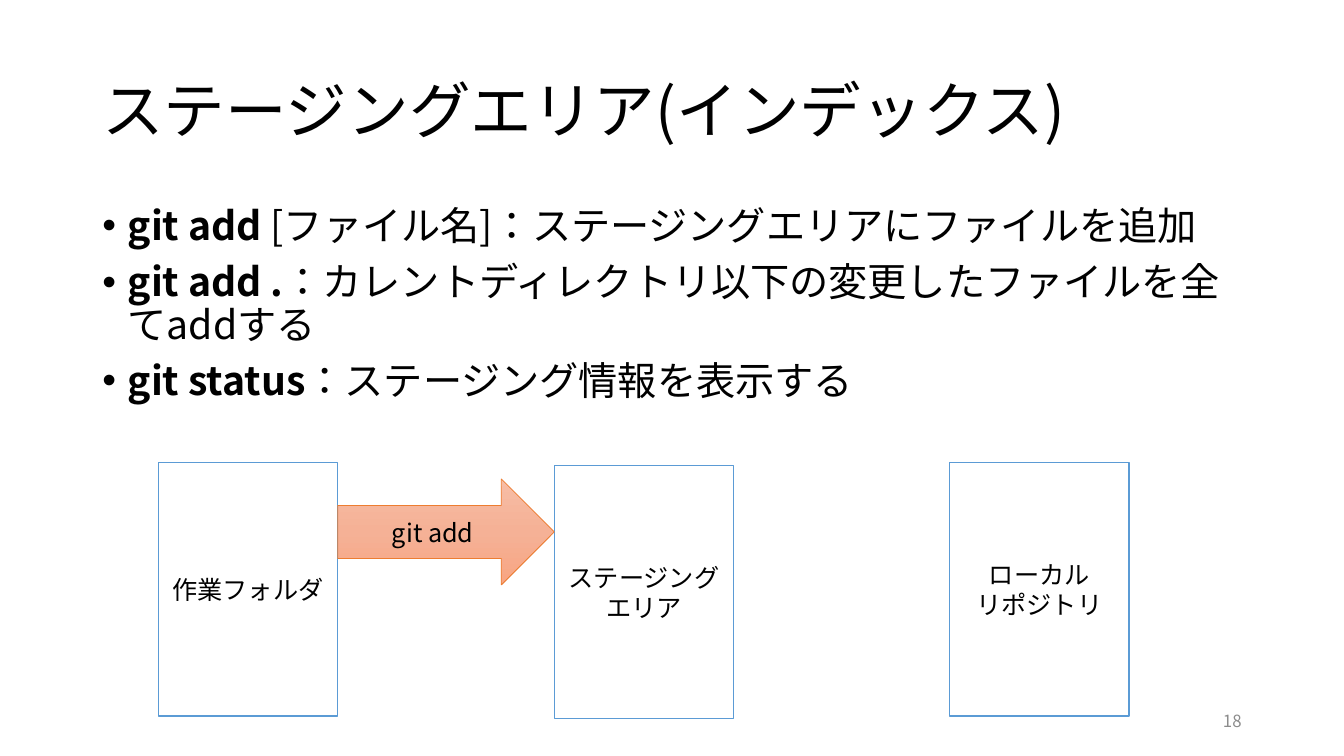
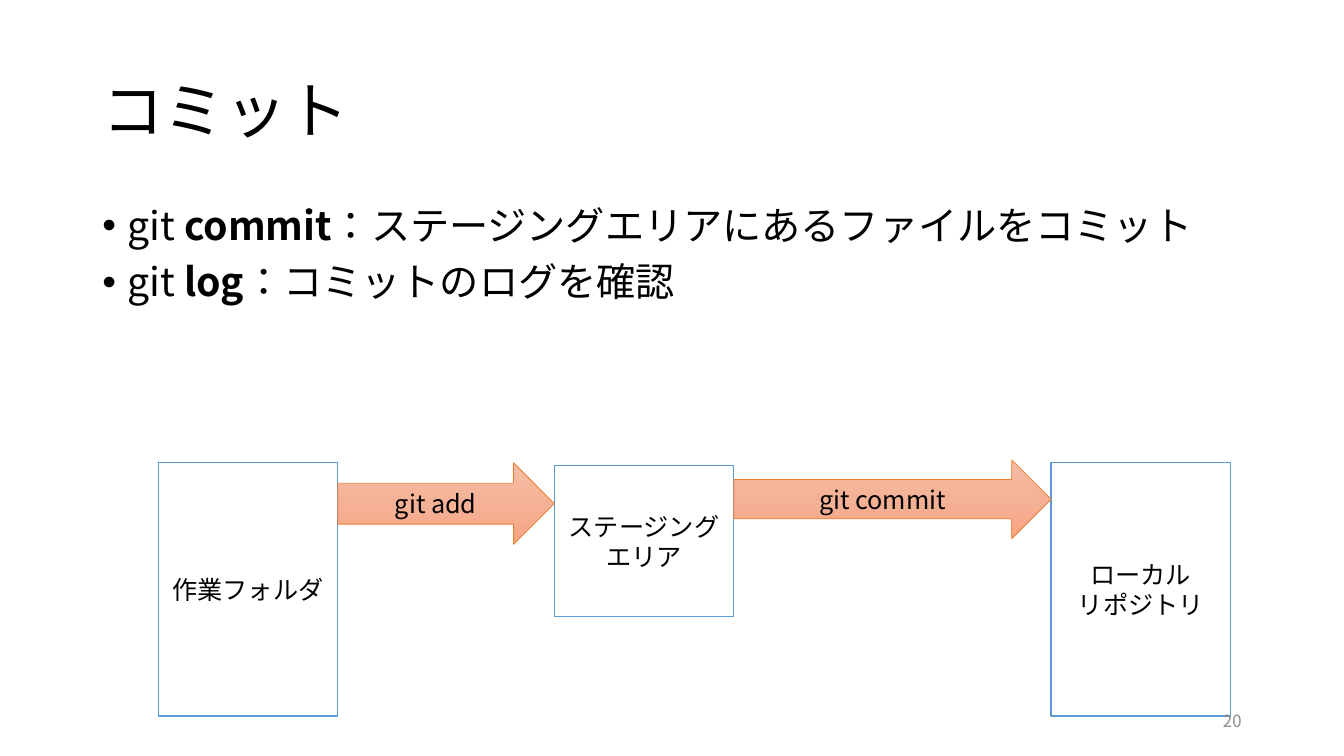
from copy import deepcopy

from pptx import Presentation
from pptx.dml.color import RGBColor
from pptx.enum.lang import MSO_LANGUAGE_ID as Lang
from pptx.enum.shapes import MSO_SHAPE as Preset
from pptx.enum.text import MSO_ANCHOR as Anchor, PP_ALIGN as Align
from pptx.oxml.ns import qn
from pptx.util import Cm, Pt
from lxml.etree import SubElement

FONT = "Noto Sans CJK JP"
COLORS = {
    "text": "000000", "number": "8C8C8C", "paper": "FFFFFF",
    "box_line": "5B9BD5", "arrow_line": "ED7D31",
    "arrow_top": "F7BDA5", "arrow_mid": "F5B196", "arrow_end": "F8A582",
}

# Regions in cm: left, top, width, height
TITLE = (2.33, 1.01, 29.21, 3.68)
BODY = (2.33, 5.08, 29.21, 12.09)
FLOW = (3.99, 11.66, 25.9, 6.38)
NUMBER = (23.92, 17.65, 7.62, 1.01)

STORE_WIDTH = 4.52
STAGING_LEFT, STAGING_DROP = 9.98, 0.07


def rgb(name):
    return RGBColor.from_string(COLORS[name])


def write(frame, paragraphs, size=18, color="text", align=Align.LEFT,
          anchor=Anchor.MIDDLE, spacing=None, before=0, after=0, bullet=False):
    """Fill a frame; each paragraph is a list of (text, bold) runs."""
    frame.word_wrap = True
    frame.vertical_anchor = anchor
    for i, runs in enumerate(paragraphs):
        para = frame.add_paragraph() if i else frame.paragraphs[0]
        para.alignment = align
        para.line_spacing = spacing
        para.space_before, para.space_after = Pt(before), Pt(after)
        if bullet:
            props = para._p.get_or_add_pPr()
            props.set("marL", str(Cm(0.64)))
            props.set("indent", str(-Cm(0.64)))
            SubElement(props, qn("a:buFont")).set("typeface", "Arial")
            SubElement(props, qn("a:buChar")).set("char", "•")
        for text, bold in runs:
            for j, line in enumerate(text.split("\n")):
                if j:
                    para.add_line_break()
                run = para.add_run()
                run.text = line
                font = run.font
                font.name, font.size, font.bold = FONT, Pt(size), bold
                font.color.rgb = rgb(color)
                font.language_id = Lang.JAPANESE
                SubElement(run._r.get_or_add_rPr(), qn("a:ea")).set("typeface", FONT)


def add_text(slide, box, paragraphs, **fmt):
    area = slide.shapes.add_textbox(*map(Cm, box))
    write(area.text_frame, paragraphs, **fmt)


def add_block(slide, preset, box, label, line, line_width):
    block = slide.shapes.add_shape(preset, *map(Cm, box))
    block.shadow.inherit = False
    block.line.color.rgb = rgb(line)
    block.line.width = Pt(line_width)
    write(block.text_frame, [[(label, False)]], align=Align.CENTER, after=6)
    return block


def add_store(slide, box, label):
    store = add_block(slide, Preset.RECTANGLE, box, label, "box_line", 1)
    store.fill.solid()
    store.fill.fore_color.rgb = rgb("paper")


def add_command(slide, box, label):
    arrow = add_block(slide, Preset.RIGHT_ARROW, box, label, "arrow_line", 0.5)
    fill = arrow.fill
    fill.gradient()
    fill.gradient_angle = 270
    # The default gradient has two stops; add a middle one
    stop_list = arrow._element.spPr.find(qn("a:gradFill")).find(qn("a:gsLst"))
    stop_list.insert(1, deepcopy(stop_list[0]))
    names = ("arrow_top", "arrow_mid", "arrow_end")
    for stop, name, position in zip(fill.gradient_stops, names, (0, 0.5, 1)):
        stop.color.rgb = rgb(name)
        stop.position = position


def add_flow(slide, box, staging_height, repo_left, commands):
    """Three stores; commands are (label, drop, height), one per gap."""
    left, top, _, height = box
    stores = [
        ("作業フォルダ", 0, 0, height),
        ("ステージングエリア", STAGING_LEFT, STAGING_DROP, staging_height),
        ("ローカル\nリポジトリ", repo_left, 0, height),
    ]
    for label, x, drop, tall in stores:
        add_store(slide, (left + x, top + drop, STORE_WIDTH, tall), label)
    # Each arrow spans the gap between two neighbouring stores
    for source, target, (label, drop, tall) in zip(stores, stores[1:], commands):
        start = source[1] + STORE_WIDTH
        add_command(slide, (left + start, top + drop, target[1] - start, tall), label)


def add_command_slide(deck, title, points, number, **flow):
    slide = deck.slides.add_slide(deck.slide_layouts[6])
    add_text(slide, TITLE, [[(title, False)]], size=44, spacing=0.9)
    add_text(slide, BODY, points, size=28, anchor=Anchor.TOP,
             spacing=0.9, before=10, bullet=True)
    add_flow(slide, FLOW, **flow)
    add_text(slide, NUMBER, [[(number, False)]], size=12, color="number",
             align=Align.RIGHT)


def main():
    deck = Presentation()
    deck.slide_width, deck.slide_height = Cm(33.87), Cm(19.05)

    add_command_slide(
        deck, "ステージングエリア(インデックス)",
        [
            [("git add ", True),
             ("[ファイル名]：ステージングエリアにファイルを追加", False)],
            [("git add .", True),
             ("：カレントディレクトリ以下の変更したファイルを全てaddする", False)],
            [("git status", True), ("：ステージング情報を表示する", False)],
        ],
        "18", staging_height=6.38, repo_left=19.94,
        commands=[("git add", 0.41, 2.67)],
    )
    add_command_slide(
        deck, "コミット",
        [
            [("git ", False), ("commit", True),
             ("：ステージングエリアにあるファイルをコミット", False)],
            [("git ", False), ("log", True), ("：コミットのログを確認", False)],
        ],
        "20", staging_height=3.81, repo_left=22.5,
        commands=[("git add", 0, 2.06), ("git commit", -0.07, 1.98)],
    )
    deck.save("out.pptx")


if __name__ == "__main__":
    main()
